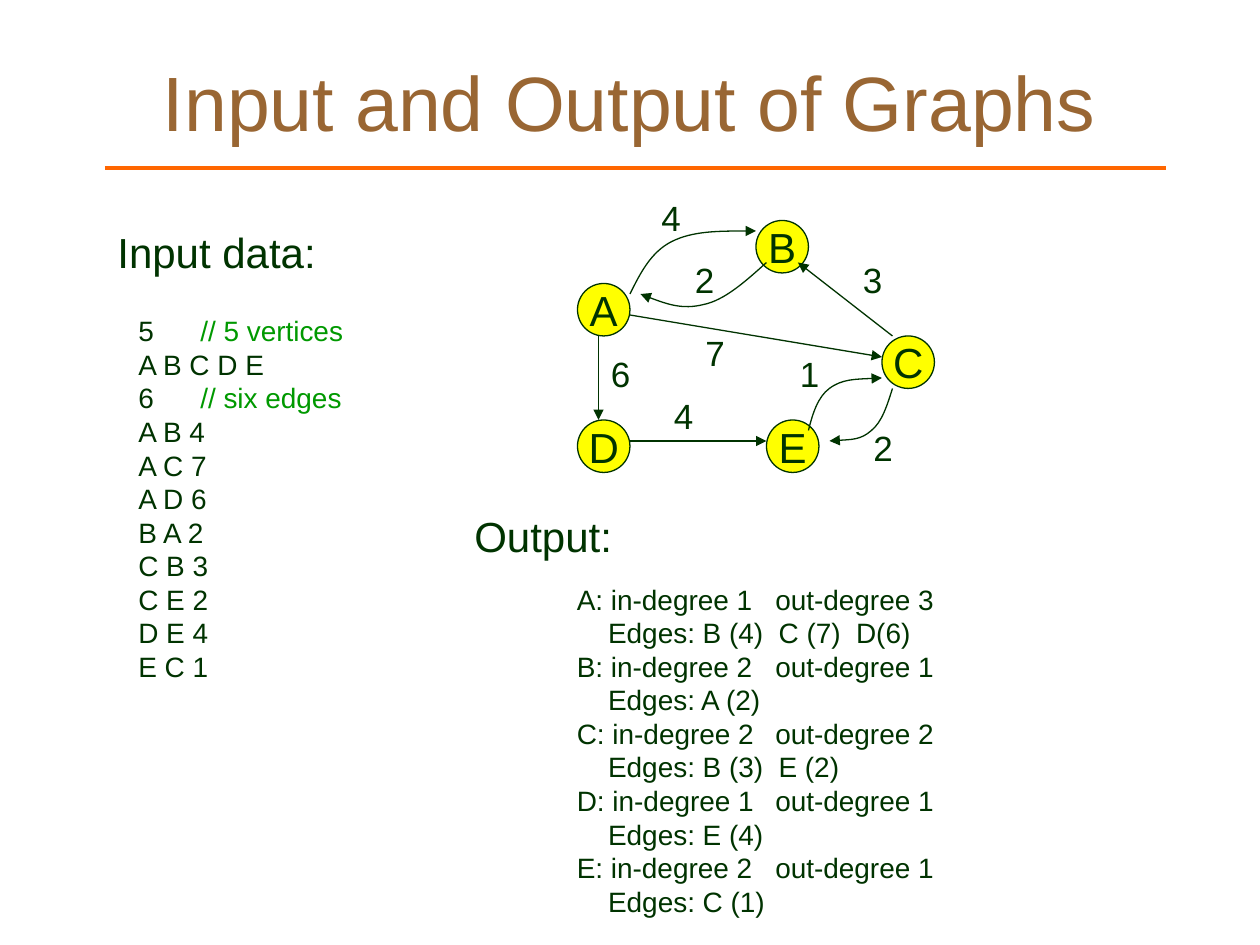
from lxml import etree
from pptx import Presentation
from pptx.dml.color import RGBColor
from pptx.enum.shapes import MSO_CONNECTOR, MSO_SHAPE
from pptx.enum.text import MSO_ANCHOR, MSO_AUTO_SIZE, PP_ALIGN
from pptx.oxml.ns import qn
from pptx.util import Cm, Pt

STRAIGHT = MSO_CONNECTOR.STRAIGHT
OVAL = MSO_SHAPE.OVAL
MIDDLE = MSO_ANCHOR.MIDDLE
CENTER = PP_ALIGN.CENTER
FIT_SHAPE = MSO_AUTO_SIZE.SHAPE_TO_FIT_TEXT

COLORS = {
    "title": "996633", "rule": "FF6600", "ink": "003300",
    "comment": "009900", "vertex": "FFFF00",
}
FONT = "Arial"
GRID = 2.54 / 12  # the graph sits on a grid of twelve cells to the inch
VERTEX_SIZE = 5

VERTICES = {"A": (55, 27), "B": (72, 21), "C": (84, 32), "D": (55, 40), "E": (73, 40)}
STRAIGHT_EDGES = [
    ((57, 32), (57, 40)),
    ((60, 42), (73, 42)),
    ((60, 30), (84, 34)),
    ((85, 32), (76, 25)),
]
# Each curve: a start point, then two control points and an end point per segment
CURVED_EDGES = [
    [(60, 28), (61, 26), (62, 24), (64, 23), (66, 22), (69, 22), (72, 22)],
    [(73, 25), (71, 26.8), (69, 28.6), (67, 29), (65, 29.5), (63, 28.8), (61, 28)],
    [(77, 41), (77.4, 39.4), (77.9, 37.8), (79, 37), (80.2, 36.1), (82, 36.1), (84, 36)],
    [(85, 37), (84.5, 38.6), (84, 40.2), (83, 41), (82, 41.9), (80.5, 41.9), (79, 42)],
]
WEIGHTS = [
    ("4", 61.8, 18.1), ("2", 65, 24), ("6", 57, 33), ("4", 63, 37),
    ("7", 66, 31), ("1", 75, 33), ("3", 81, 24), ("2", 82, 40),
]
INPUT_LINES = [
    ("5", "// 5 vertices"), ("A B C D E", ""), ("6", "// six edges"),
    ("A B 4", ""), ("A C 7", ""), ("A D 6", ""), ("B A 2", ""),
    ("C B 3", ""), ("C E 2", ""), ("D E 4", ""), ("E C 1", ""),
]
DEGREES = [
    ("A", 1, 3, "B (4)  C (7)  D(6)"),
    ("B", 2, 1, "A (2)"),
    ("C", 2, 2, "B (3)  E (2)"),
    ("D", 1, 1, "E (4)"),
    ("E", 2, 1, "C (1)"),
]


def color(name):
    return RGBColor.from_string(COLORS[name])


def cells(count):
    return Cm(count * GRID)


def style(paragraph, size, color_name="ink"):
    paragraph.font.name = FONT
    paragraph.font.size = Pt(size)
    paragraph.font.color.rgb = color(color_name)


def set_line(shape, color_name="ink", width=0.75, arrow=False):
    shape.line.color.rgb = color(color_name)
    shape.line.width = Pt(width)
    if arrow:
        outline = shape._element.spPr.find(qn("a:ln"))
        etree.SubElement(outline, qn("a:tailEnd"), type="triangle")


def add_title(slide, text):
    title = slide.shapes.title
    title.left, title.top, title.width, title.height = Cm(1.9), Cm(0.43), Cm(21.6), Cm(3.18)
    title.text_frame.text = text
    title.text_frame.vertical_anchor = MIDDLE
    paragraph = title.text_frame.paragraphs[0]
    paragraph.alignment = CENTER
    style(paragraph, 44, "title")


def add_straight(slide, start, end, **line_style):
    edge = slide.shapes.add_connector(STRAIGHT, *map(cells, start + end))
    set_line(edge, **line_style)
    etree.SubElement(edge._element.spPr, qn("a:effectLst"))


def add_curve(slide, points):
    """Build an outline through all points, then join each three as a Bezier segment."""
    places = [(cells(x), cells(y)) for x, y in points]
    builder = slide.shapes.build_freeform(*places[0])
    builder.add_line_segments(places[1:], close=False)
    edge = builder.convert_to_shape()
    edge.fill.background()
    edge.shadow.inherit = False
    set_line(edge, arrow=True)
    steps = list(edge._element.iter(qn("a:lnTo")))
    outline = steps[0].getparent()
    for first in range(0, len(steps), 3):
        bezier = etree.SubElement(outline, qn("a:cubicBezTo"))
        for step in steps[first:first + 3]:
            bezier.append(step[0])
            outline.remove(step)


def add_vertex(slide, name, left, top):
    vertex = slide.shapes.add_shape(
        OVAL, cells(left), cells(top), cells(VERTEX_SIZE), cells(VERTEX_SIZE))
    vertex.shadow.inherit = False
    vertex.fill.solid()
    vertex.fill.fore_color.rgb = color("vertex")
    set_line(vertex)
    frame = vertex.text_frame
    frame.word_wrap = False
    frame.vertical_anchor = MIDDLE
    frame.text = name
    frame.paragraphs[0].alignment = CENTER
    style(frame.paragraphs[0], 24)


def add_label(slide, text, size, left, top, width, height):
    label = slide.shapes.add_textbox(left, top, width, height)
    frame = label.text_frame
    frame.word_wrap = False
    frame.auto_size = FIT_SHAPE
    frame.text = text
    style(frame.paragraphs[0], size)


def add_listing(slide, left, top, width, height, line_count):
    """Add a text box and return its empty paragraphs, one for each line."""
    frame = slide.shapes.add_textbox(left, top, width, height).text_frame
    frame.word_wrap = True
    frame.auto_size = FIT_SHAPE
    for _ in range(line_count - 1):
        frame.add_paragraph()
    for paragraph in frame.paragraphs:
        style(paragraph, 16)
    return frame.paragraphs


def add_input(slide):
    lines = add_listing(slide, Cm(2.54), Cm(6.2), Cm(4.8), Cm(7.72), len(INPUT_LINES))
    for paragraph, (data, comment) in zip(lines, INPUT_LINES):
        properties = paragraph._p.get_or_add_pPr()
        properties.set("marL", str(Cm(1.25)))
        properties.set("indent", str(-Cm(1.25)))
        paragraph.add_run().text = data
        if comment:
            paragraph.runs[0].text += "\t"
            remark = paragraph.add_run()
            remark.text = comment
            remark.font.color.rgb = color("comment")


def add_output(slide):
    lines = add_listing(slide, Cm(11.38), Cm(11.61), Cm(8.05), Cm(7.04), 2 * len(DEGREES))
    for row, (name, in_degree, out_degree, edges) in enumerate(DEGREES):
        degrees, targets = lines[2 * row:2 * row + 2]
        degrees.add_run().text = f"{name}: in-degree {in_degree}\tout-degree {out_degree}"
        properties = degrees._p.get_or_add_pPr()
        stops = etree.Element(qn("a:tabLst"))
        etree.SubElement(stops, qn("a:tab"), pos=str(Cm(4)), algn="l")
        properties.insert(0, stops)
        targets.add_run().text = f"Edges: {edges}"
        targets._p.get_or_add_pPr().set("marL", str(Cm(0.63)))


def add_graph(slide):
    for name, (left, top) in VERTICES.items():
        add_vertex(slide, name, left, top)
    for start, end in STRAIGHT_EDGES:
        add_straight(slide, start, end, arrow=True)
    for points in CURVED_EDGES:
        add_curve(slide, points)
    for weight, left, top in WEIGHTS:
        add_label(slide, weight, 20, cells(left), cells(top), Cm(0.91), Cm(1.09))


def main():
    deck = Presentation()
    deck.slide_width, deck.slide_height = Cm(25.4), Cm(19.05)
    slide = deck.slides.add_slide(deck.slide_layouts[5])
    add_title(slide, "Input and Output of Graphs")
    add_straight(slide, (10, 16), (111, 16), color_name="rule", width=2.25)
    add_input(slide)
    add_label(slide, "Input data:", 24, cells(10), cells(21), Cm(4.75), Cm(1.27))
    add_graph(slide)
    add_label(slide, "Output:", 24, cells(44), cells(48), Cm(3.53), Cm(1.27))
    add_output(slide)
    deck.save("out.pptx")


if __name__ == "__main__":
    main()
